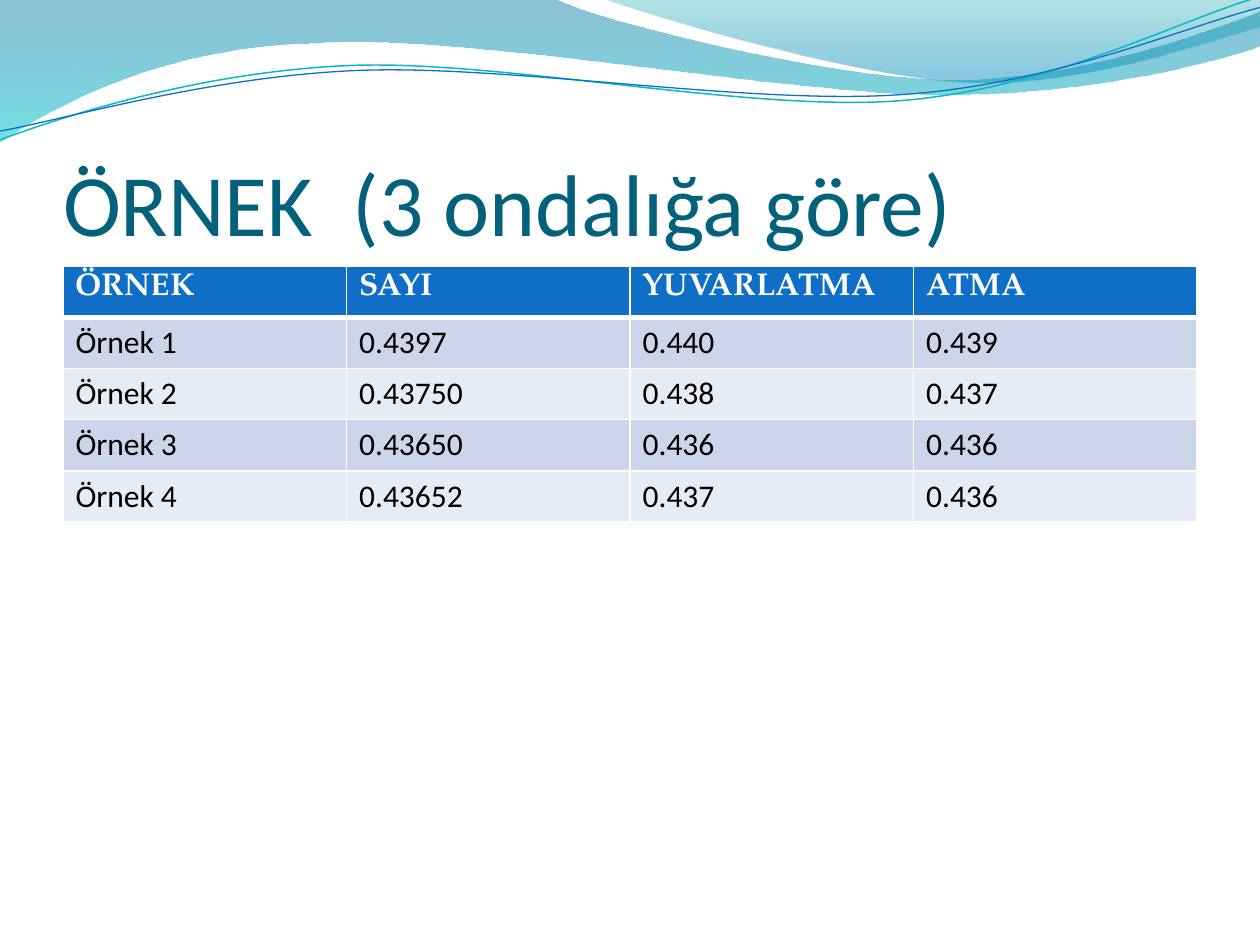
import math

import pptx
import pptx.util
import pptx.dml.color
import pptx.enum.text
from lxml import etree
from pptx.oxml.ns import qn

Cm, Pt = pptx.util.Cm, pptx.util.Pt
RGBColor = pptx.dml.color.RGBColor

WHITE = RGBColor(0xFF, 0xFF, 0xFF)
BLACK = RGBColor(0x00, 0x00, 0x00)
TITLE_TEAL = RGBColor(0x04, 0x61, 0x7B)
HEADER_BLUE = RGBColor(0x0F, 0x6F, 0xC6)
LINE_TEAL = RGBColor(0x0A, 0xB8, 0xBF)
BANDS = [RGBColor(0xCC, 0xD5, 0xEA), RGBColor(0xE7, 0xEB, 0xF5)]

# Content
TITLE = "ÖRNEK  (3 ondalığa göre)"
HEADER = ["ÖRNEK", "SAYI", "YUVARLATMA", "ATMA"]
ROWS = [
    ["Örnek 1", "0.4397", "0.440", "0.439"],
    ["Örnek 2", "0.43750", "0.438", "0.437"],
    ["Örnek 3", "0.43650", "0.436", "0.436"],
    ["Örnek 4", "0.43652", "0.437", "0.436"],
]

# Outlines in tenths of the slide width: 2 numbers draw a line, 6 a Bezier curve
UNIT = 2.54
WAVE_BANDS = [
    {"outline": [(0, 0), (4.4, -0.01), (4.76, 0.17, 6.64, 0.63, 7.58, 0.63),
                 (8.53, 0.63, 9.58, 0.26, 10, 0.09), (10.01, 0.36),
                 (9.83, 0.44, 8.7, 0.76, 7.46, 0.75),
                 (6.22, 0.75, 3.82, 0.28, 2.57, 0.34),
                 (1.29, 0.36, 0.46, 0.83, -0.01, 1.13), (0, 0)],
     "stops": [(0, RGBColor(0x00, 0x74, 0xA1), 45), (1, RGBColor(0x00, 0xC6, 0xCF), 55)]},
    {"outline": [(4.79, -0.01), (5.09, 0.11, 6.82, 0.62, 7.69, 0.65),
                 (8.56, 0.69, 9.61, 0.32, 10, 0.21), (10, 0), (4.79, -0.01)],
     "stops": [(0, RGBColor(0x00, 0xA1, 0xA9), 30), (0.8, RGBColor(0x00, 0x8B, 0xBF), 45)]},
]
WAVE_LINES = [
    {"outline": [(0, 1.11), (0.48, 0.93, 1.58, 0.57, 2.77, 0.52),
                 (3.95, 0.47, 5.93, 0.89, 7.13, 0.8),
                 (8.33, 0.71, 9.38, 0.15, 9.98, -0.02)],
     "center": (4.99, 0.58), "color": LINE_TEAL, "width": 0.85},
    {"outline": [(0, 1.04), (0.47, 0.96, 1.64, 0.61, 2.83, 0.56),
                 (4.03, 0.51, 5.97, 0.84, 7.17, 0.75),
                 (8.36, 0.67, 9.41, 0.21, 10, 0.06)],
     "center": (5, 0.59), "color": HEADER_BLUE, "width": 0.75},
]
LINE_TILT = -2.7


def turn(point, center, degrees):
    angle = math.radians(degrees)
    x, y = point[0] - center[0], point[1] - center[1]
    return (center[0] + x * math.cos(angle) - y * math.sin(angle),
            center[1] + x * math.sin(angle) + y * math.cos(angle))


def add_outline(slide, outline, close, center=(0, 0), tilt=0):
    """Draw an outline whose tilt is kept as the rotation of the shape."""
    pairs = [segment[i:i + 2] for segment in outline for i in range(0, len(segment), 2)]
    points = [tuple(Cm(value * UNIT) for value in turn(pair, center, -tilt))
              for pair in pairs]
    builder = slide.shapes.build_freeform(*points[0])
    builder.add_line_segments(points[1:], close=close)
    shape = builder.convert_to_shape()
    shape.shadow.inherit = False
    shape.rotation = tilt

    # Join each three points of a curve into one Bezier segment
    steps = iter(list(shape.element.spPr.iter(qn("a:lnTo"))))
    for segment in outline[1:]:
        first = next(steps)
        if len(segment) == 6:
            curve = etree.Element(qn("a:cubicBezTo"))
            first.addprevious(curve)
            for step in (first, next(steps), next(steps)):
                curve.append(step[0])
                step.getparent().remove(step)
    return shape


def add_wave_band(slide, band):
    shape = add_outline(slide, band["outline"], True)
    shape.line.fill.background()
    shape.fill.gradient()
    shape.fill.gradient_angle = 270
    for stop, (position, color, _) in zip(shape.fill.gradient_stops, band["stops"]):
        stop.position = position
        stop.color.rgb = color
    colors = shape.element.spPr.iter(qn("a:srgbClr"))
    for node, (_, _, opacity) in zip(list(colors), band["stops"]):
        etree.SubElement(node, qn("a:alpha"), val=str(opacity * 1000))


def add_wave_line(slide, wave):
    shape = add_outline(slide, wave["outline"], False, wave["center"], LINE_TILT)
    shape.fill.background()
    shape.line.color.rgb = wave["color"]
    shape.line.width = Pt(wave["width"])


def add_span(para, text, font, size, color, bold=False):
    span = para.add_run()
    span.text = text
    span.font.name = font
    span.font.size = Pt(size)
    span.font.bold = bold
    span.font.color.rgb = color


def set_borders(cell, bottom):
    properties = cell._tc.get_or_add_tcPr()
    for side, width in (("L", 1), ("R", 1), ("T", 1), ("B", bottom)):
        line = etree.SubElement(properties, qn(f"a:ln{side}"), w=str(Pt(width)))
        fill = etree.SubElement(line, qn("a:solidFill"))
        etree.SubElement(fill, qn("a:srgbClr"), val=str(WHITE))


def add_title(slide):
    title = slide.shapes.title
    title.left, title.top, title.width, title.height = Cm(1.27), Cm(1.96), Cm(22.86), Cm(3.17)
    frame = title.text_frame
    frame.word_wrap = True
    frame.auto_size = pptx.enum.text.MSO_AUTO_SIZE.NONE
    frame.vertical_anchor = pptx.enum.text.MSO_ANCHOR.BOTTOM
    frame.margin_left = frame.margin_right = frame.margin_bottom = 0
    frame.margin_top = Cm(0.13)
    para = frame.paragraphs[0]
    para.alignment = pptx.enum.text.PP_ALIGN.LEFT
    add_span(para, TITLE, "Calibri", 50, TITLE_TEAL)
    # Bring the title in front of the waves
    slide.shapes.element.append(title.element)


def add_rounding_table(slide):
    lines = [HEADER] + ROWS
    table = slide.shapes.add_table(
        len(lines), len(HEADER), Cm(1.27), Cm(5.37), Cm(22.86), Cm(1.03 * len(lines))).table
    for row, texts in enumerate(lines):
        for column, text in enumerate(texts):
            cell = table.cell(row, column)
            para = cell.text_frame.paragraphs[0]
            set_borders(cell, 3 if row == 0 else 1)
            cell.fill.solid()
            if row == 0:
                cell.fill.fore_color.rgb = HEADER_BLUE
                add_span(para, text, "TeX Gyre Pagella", 18, WHITE, True)
            else:
                cell.fill.fore_color.rgb = BANDS[(row - 1) % 2]
                add_span(para, text, "Calibri", 18, BLACK)


def main():
    deck = pptx.Presentation()
    deck.slide_width, deck.slide_height = Cm(25.4), Cm(19.05)
    slide = deck.slides.add_slide(deck.slide_layouts[5])
    slide.background.fill.solid()
    slide.background.fill.fore_color.rgb = WHITE

    # Waves along the top
    for band in WAVE_BANDS:
        add_wave_band(slide, band)
    for wave in WAVE_LINES:
        add_wave_line(slide, wave)

    # Title and table
    add_title(slide)
    add_rounding_table(slide)
    deck.save("out.pptx")


if __name__ == "__main__":
    main()
